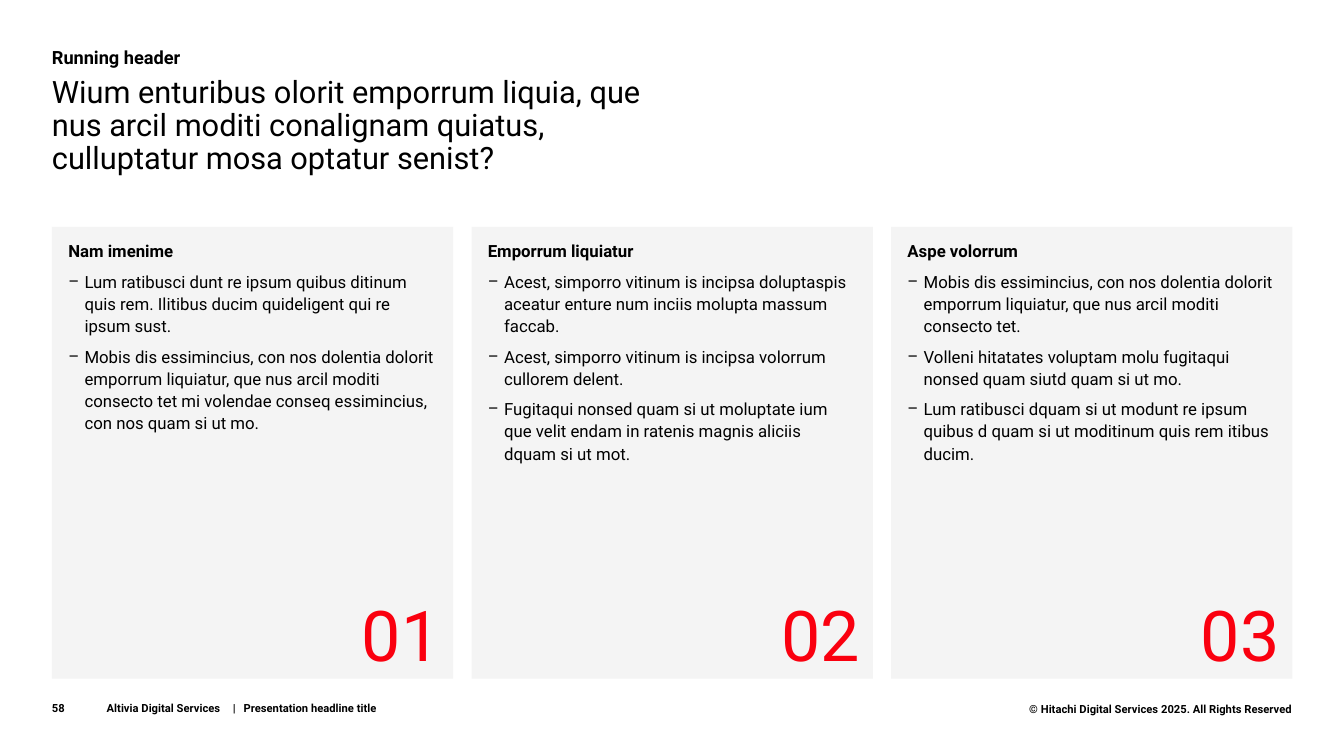
from lxml import etree
from pptx import Presentation
from pptx.dml.color import RGBColor
from pptx.enum.shapes import MSO_SHAPE
from pptx.enum.text import MSO_ANCHOR, MSO_AUTO_SIZE, PP_ALIGN
from pptx.oxml.ns import qn
from pptx.util import Cm, Pt

RECT = MSO_SHAPE.RECTANGLE
TOP, BOTTOM = MSO_ANCHOR.TOP, MSO_ANCHOR.BOTTOM
LEFT, RIGHT = PP_ALIGN.LEFT, PP_ALIGN.RIGHT
GROW, FIXED = MSO_AUTO_SIZE.SHAPE_TO_FIT_TEXT, MSO_AUTO_SIZE.NONE

COLORS = {"text": "000000", "panel": "F4F4F4", "number": "FA000F"}
FONT = "Roboto"
INDENT = 0.41

PANELS = [
    ("Nam imenime", [
        "Lum ratibusci dunt re ipsum quibus ditinum quis rem. Ilitibus ducim quideligent qui re ipsum sust.",
        "Mobis dis essimincius, con nos dolentia dolorit emporrum liquiatur, que nus arcil moditi "
        "consecto tet mi volendae conseq essimincius, con nos quam si ut mo.",
    ]),
    ("Emporrum liquiatur", [
        "Acest, simporro vitinum is incipsa doluptaspis aceatur enture num inciis molupta massum faccab.",
        "Acest, simporro vitinum is incipsa volorrum cullorem delent.",
        "Fugitaqui nonsed quam si ut moluptate ium que velit endam in ratenis magnis aliciis dquam si ut mot.",
    ]),
    ("Aspe volorrum", [
        "Mobis dis essimincius, con nos dolentia dolorit emporrum liquiatur, que nus arcil moditi consecto tet.",
        "Volleni hitatates voluptam molu fugitaqui nonsed quam siutd quam si ut mo.",
        "Lum ratibusci dquam si ut modunt re ipsum quibus d quam si ut moditinum quis rem itibus ducim.",
    ]),
]


def set_attrs(obj, values):
    for name, value in values.items():
        setattr(obj, name, value)


def set_frame(tf, margins=(0, 0, 0, 0), anchor=TOP, grow=False):
    left, top, right, bottom = (Cm(m) for m in margins)
    set_attrs(tf, {
        "margin_left": left, "margin_top": top, "margin_right": right, "margin_bottom": bottom,
        "word_wrap": True, "vertical_anchor": anchor, "auto_size": GROW if grow else FIXED,
    })


def write(p, text, size, bold=False, color="text", align=LEFT, spacing=1.0):
    set_attrs(p, {"alignment": align, "line_spacing": spacing})
    r = p.add_run()
    r.text = text
    set_attrs(r.font, {"name": FONT, "size": Pt(size), "bold": bold})
    r.font.color.rgb = RGBColor.from_string(COLORS[color])


def add_label(s, box, text, size, margins=(0, 0, 0, 0), anchor=TOP, grow=False, **style):
    sp = s.shapes.add_textbox(*(Cm(v) for v in box))
    set_frame(sp.text_frame, margins, anchor, grow)
    p = sp.text_frame.paragraphs[0]
    write(p, text, size, **style)
    return p


def add_bullet(p):
    pPr = p._p.get_or_add_pPr()
    pPr.set("marL", str(Cm(INDENT)))
    pPr.set("indent", str(-Cm(INDENT)))
    etree.SubElement(pPr, qn("a:buFont"), typeface=FONT)
    etree.SubElement(pPr, qn("a:buChar"), char="–")


def add_tabs(p, stops):
    tabs = etree.SubElement(p._p.get_or_add_pPr(), qn("a:tabLst"))
    for stop in stops:
        etree.SubElement(tabs, qn("a:tab"), pos=str(Cm(stop)), algn="l")


def add_header(s, x, y):
    add_label(s, (x, y, 12.75, 0.58), "Running header", 13, grow=True, bold=True, spacing=1.1)
    add_label(s, (x, y + 0.81, 15.42, 0.84),
              "Wium enturibus olorit emporrum liquia, que nus arcil moditi conalignam quiatus, "
              "culluptatur mosa optatur senist?", 22, grow=True, spacing=0.9)


def add_panel(s, x, y, w, h, number, heading, bullets):
    sp = s.shapes.add_shape(RECT, Cm(x), Cm(y), Cm(w), Cm(h))
    sp.shadow.inherit = False
    sp.fill.solid()
    sp.fill.fore_color.rgb = RGBColor.from_string(COLORS["panel"])
    sp.line.fill.background()
    tf = sp.text_frame
    set_frame(tf, (0.41, 0.3, 0.41, 0.2))
    write(tf.paragraphs[0], heading, 12, bold=True, spacing=1.1)
    for bullet in bullets:
        p = tf.add_paragraph()
        add_bullet(p)
        p.space_before = Pt(6)
        write(p, bullet, 12, spacing=1.1)
    add_label(s, (x + w - 3.22, y + h - 2.19, 2.9, 2.21), f"{number:02d}", 50,
              margins=(0, 0, 0, 0.1), anchor=BOTTOM, grow=True,
              color="number", align=RIGHT, spacing=1.1)


def add_panels(s, x, y, w, h, gap):
    panel_w = (w - gap * (len(PANELS) - 1)) / len(PANELS)
    for i, (heading, bullets) in enumerate(PANELS):
        add_panel(s, x + i * (panel_w + gap), y, panel_w, h, i + 1, heading, bullets)


def add_footer(s, x, y, w):
    add_label(s, (x, y, 1.2, 0.41), "58", 8, anchor=BOTTOM, bold=True)
    p = add_label(s, (x + 1.38, y, 10.11, 0.41),
                  "Altivia Digital Services\t|\tPresentation headline title", 8,
                  anchor=BOTTOM, bold=True)
    add_tabs(p, (3.18, 3.45))
    add_label(s, (x + w - 8.05, y + 0.1, 8.05, 0.36),
              "© Hitachi Digital Services 2025. All Rights Reserved", 8, bold=True, align=RIGHT)


def main():
    prs = Presentation()
    set_attrs(prs, {"slide_width": Cm(33.87), "slide_height": Cm(19.05)})
    s = prs.slides.add_slide(prs.slide_layouts[6])
    add_header(s, 1.31, 1.12)
    add_panels(s, 1.31, 5.72, 31.26, 11.38, 0.46)
    add_footer(s, 1.31, 17.6, 31.26)
    prs.save("out.pptx")


if __name__ == "__main__":
    main()
